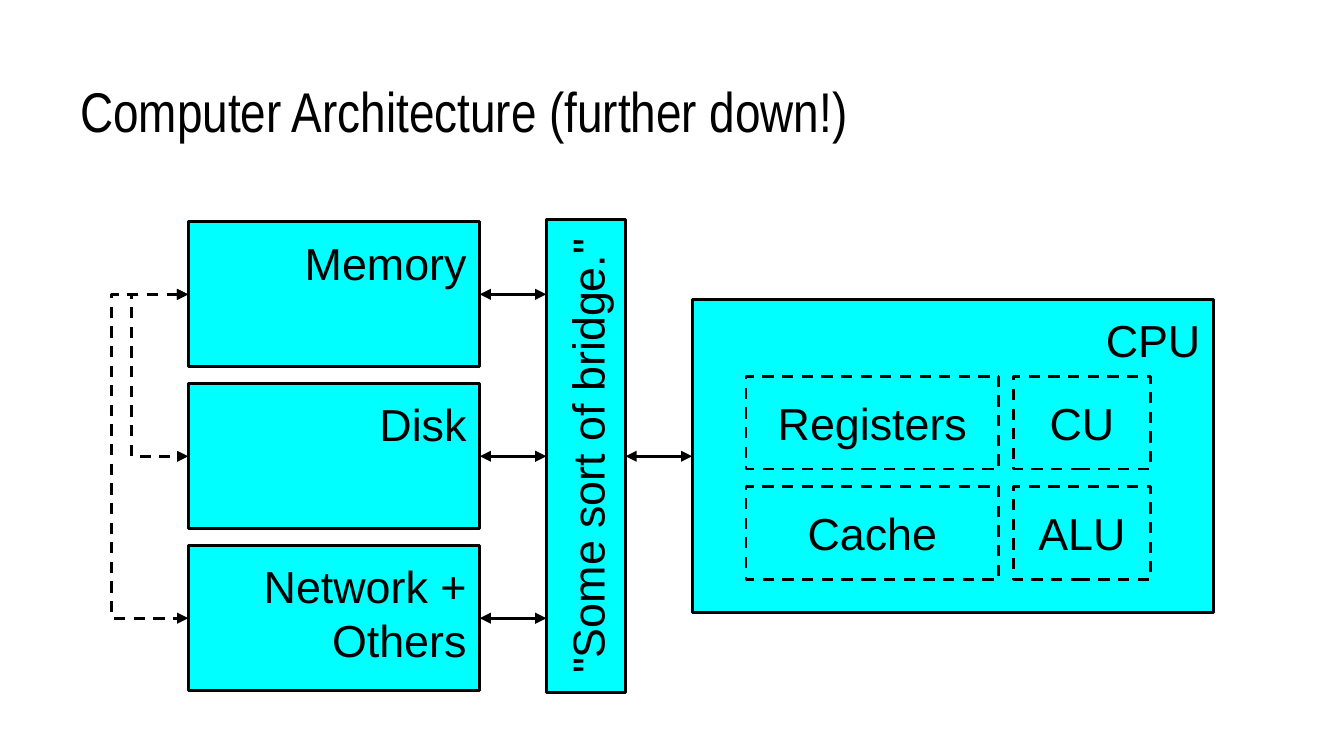
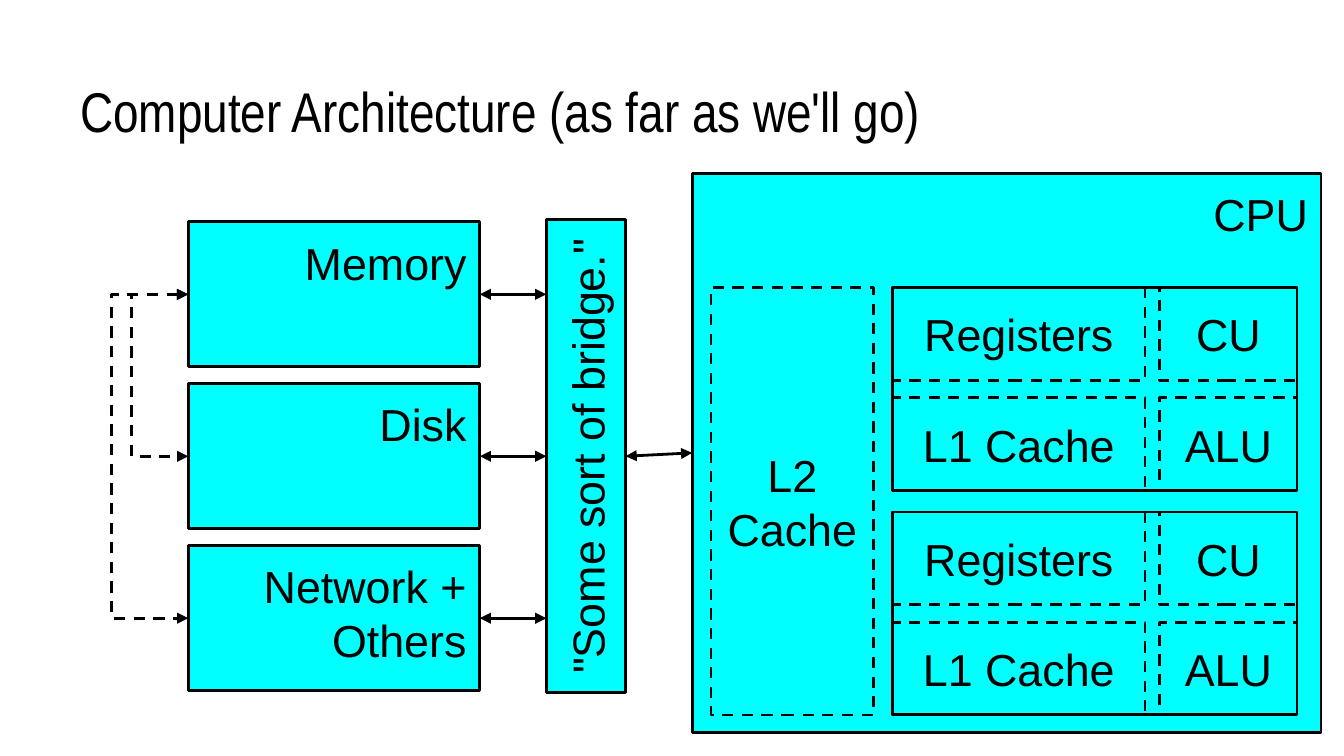
import lxml.etree
import pptx
import pptx.dml.color
import pptx.enum.dml
import pptx.enum.shapes
import pptx.enum.text
import pptx.oxml.ns
import pptx.util

COLORS = {"ink": "000000", "block": "00FFFF", "paper": "FFFFFF"}
ALIGN = pptx.enum.text.PP_ALIGN
ANCHOR = pptx.enum.text.MSO_ANCHOR
CONNECTOR = pptx.enum.shapes.MSO_CONNECTOR
TOP, LEFT, BOTTOM, RIGHT = range(4)
COLUMNS, ROWS = 100, 56.25
HAIR = 600


def color(name):
    return pptx.dml.color.RGBColor.from_string(COLORS[name])


class Deck:
    body_font, title_font = "Arial", "Arial Narrow"
    body_size, title_size = 24, 30
    line_width = 1.5

    def __init__(self):
        self.prs = pptx.Presentation()
        self.prs.slide_width = pptx.util.Inches(10)
        self.prs.slide_height = pptx.util.Inches(5.625)
        self.slide = None

    def x(self, columns):
        return round(self.prs.slide_width * columns / COLUMNS)

    def y(self, rows):
        return round(self.prs.slide_height * rows / ROWS)

    def frame(self, left, top, width, height):
        return self.x(left), self.y(top), self.x(width), self.y(height)

    def new_slide(self, title):
        self.slide = self.prs.slides.add_slide(self.prs.slide_layouts[6])
        background = self.slide.background.fill
        background.solid()
        background.fore_color.rgb = color("paper")
        heading = self.slide.shapes.add_textbox(*self.frame(5, 2.3, 90, 9.4))
        self.label(heading, title, ALIGN.LEFT, ANCHOR.BOTTOM, self.title_font, self.title_size)

    def label(self, shape, text, align, anchor, font=body_font, size=body_size):
        frame = shape.text_frame
        frame.word_wrap = True
        frame.vertical_anchor = anchor
        frame.margin_left = frame.margin_right = self.x(1)
        frame.margin_top = frame.margin_bottom = self.y(1)
        frame.text = text
        for paragraph in frame.paragraphs:
            paragraph.alignment = align
            paragraph.font.name = font
            paragraph.font.size = pptx.util.Pt(size)
            paragraph.font.color.rgb = color("ink")

    def outline(self, line, dashed):
        line.color.rgb = color("ink")
        line.width = pptx.util.Pt(self.line_width)
        if dashed:
            line.dash_style = pptx.enum.dml.MSO_LINE.DASH

    def box(self, place, text="", align=ALIGN.RIGHT, anchor=ANCHOR.TOP, dashed=False, filled=True):
        block = self.slide.shapes.add_shape(
            pptx.enum.shapes.MSO_SHAPE.RECTANGLE, *self.frame(*place))
        block.shadow.inherit = False
        if filled:
            block.fill.solid()
            block.fill.fore_color.rgb = color("block")
        else:
            block.fill.background()
        self.outline(block.line, dashed)
        if text:
            self.label(block, text, align, anchor)
        return block

    def unit(self, place, text):
        return self.box(place, text, ALIGN.CENTER, ANCHOR.MIDDLE, dashed=True)

    def upright_box(self, place, text):
        left, top, width, height = place
        shift = (height - width) / 2
        block = self.box((left - shift, top + shift, height, width), text, ALIGN.CENTER)
        block.rotation = 270
        return block

    def finish_arrow(self, arrow, dashed=False):
        self.outline(arrow.line, dashed)
        properties = arrow._element.spPr
        line = properties.find(pptx.oxml.ns.qn("a:ln"))
        for end in ("a:headEnd", "a:tailEnd"):
            lxml.etree.SubElement(line, pptx.oxml.ns.qn(end), type="triangle")
        lxml.etree.SubElement(properties, pptx.oxml.ns.qn("a:effectLst"))

    def link(self, start, end, source=None, target=None):
        begin_x, begin_y = self.x(start[0]), self.y(start[1])
        end_x, end_y = self.x(end[0]), self.y(end[1])
        arrow = self.slide.shapes.add_connector(
            CONNECTOR.STRAIGHT, begin_x, begin_y, end_x, end_y)
        if source:
            arrow.begin_connect(*source)
        if target:
            arrow.end_connect(*target)
        arrow.begin_x, arrow.begin_y = begin_x, begin_y
        arrow.end_x, arrow.end_y = end_x, end_y
        self.finish_arrow(arrow)

    def side_loop(self, column, first_row, last_row, reach):
        left = self.x(column)
        loop = self.slide.shapes.add_connector(
            CONNECTOR.ELBOW, left, self.y(first_row), left + HAIR, self.y(last_row))
        guides = loop._element.spPr.prstGeom.get_or_add_avLst()
        bend = round(-self.x(reach) / HAIR * 100000)
        lxml.etree.SubElement(
            guides, pptx.oxml.ns.qn("a:gd"), name="adj1", fmla=f"val {bend}")
        self.finish_arrow(loop, dashed=True)

    def core(self, left, top, cache):
        columns = ((0, 18.8), (19.9, 10.2))
        names = (("Registers", "CU"), (cache, "ALU"))
        for row, labels in enumerate(names):
            for (offset, width), name in zip(columns, labels):
                self.unit((left + offset, top + 8.2 * row, width, 6.9), name)

    def architecture(self, title, cpu_place):
        self.new_slide(title)
        cpu = self.box(cpu_place, "CPU")
        part_left, part_width, part_height = 14, 21.7, 10.8
        bridge_left, bridge_top, bridge_width, bridge_height = 40.65, 16.35, 5.9, 35.2
        bridge_middle = bridge_top + bridge_height / 2
        bridge = self.upright_box(
            (bridge_left, bridge_top, bridge_width, bridge_height), '"Some sort of bridge."')
        middles = []
        for index, name in enumerate(("Memory", "Disk", "Network + Others")):
            top = 16.5 + 12.05 * index
            part = self.box((part_left, top, part_width, part_height), name)
            middles.append(top + part_height / 2)
            self.link((part_left + part_width, middles[-1]), (bridge_left, middles[-1]),
                      (part, RIGHT), (bridge, TOP) if name == "Disk" else None)
        cpu_left, cpu_top, _, cpu_height = cpu_place
        self.link((bridge_left + bridge_width, bridge_middle),
                  (cpu_left, cpu_top + cpu_height / 2), (bridge, BOTTOM), (cpu, LEFT))
        memory, disk, network = middles
        self.side_loop(part_left, memory, network, 4.75)
        self.side_loop(part_left, memory, disk, 3.5)


def main():
    deck = Deck()

    deck.architecture("Computer Architecture (further down!)", (51.5, 22.3, 38.8, 23.3))
    deck.core(55.5, 28, "Cache")

    deck.architecture("Computer Architecture (as far as we'll go)", (51.5, 12.9, 46.8, 41.6))
    deck.unit((52.9, 21.4, 12.1, 31.8), "L2\nCache")
    for core_top in (21.4, 38.1):
        deck.core(66.4, core_top, "L1 Cache")
        deck.box((66.4, core_top, 30.1, 15.1), filled=False)

    deck.prs.save("out.pptx")


if __name__ == "__main__":
    main()
